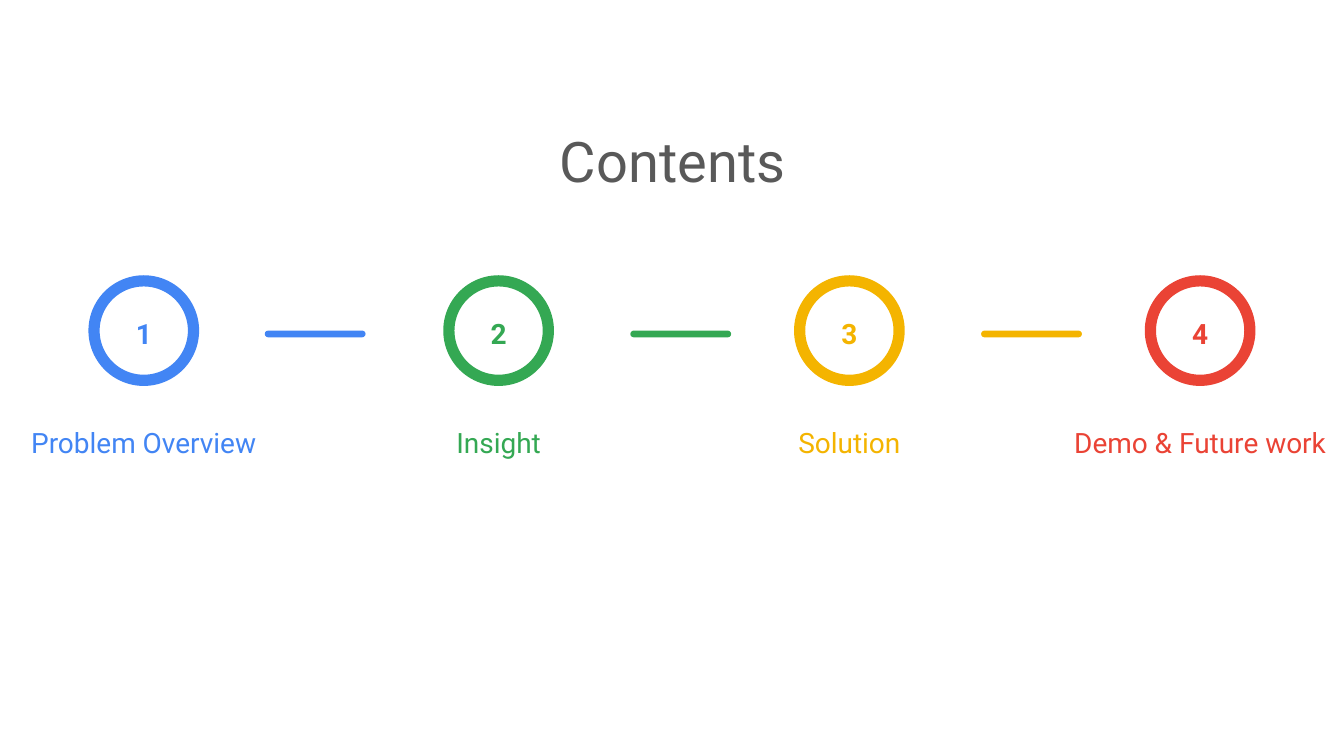
from pptx import Presentation
from pptx.dml.color import RGBColor
from pptx.enum import shapes, text
from pptx.util import Inches, Pt

GRAY = RGBColor(0x59, 0x59, 0x59)
BLUE = RGBColor(0x42, 0x85, 0xF4)
GREEN = RGBColor(0x34, 0xA8, 0x53)
YELLOW = RGBColor(0xF4, 0xB4, 0x00)
RED = RGBColor(0xEA, 0x43, 0x35)
FONT = "Roboto"
RING = 0.74
STEPS = [
    ("Problem Overview", BLUE, 1.07, 1.97),
    ("Insight", GREEN, 3.71, 4.69),
    ("Solution", YELLOW, 6.32, 7.3),
    ("Demo & Future work", RED, 8.93, None),
]


def write(box, words, size, color, inset, anchor, bold=False):
    frame = box.text_frame
    frame.word_wrap = True
    frame.auto_size = text.MSO_AUTO_SIZE.NONE
    frame.vertical_anchor = anchor
    frame.margin_left = frame.margin_right = Inches(inset)
    frame.margin_top = frame.margin_bottom = Inches(inset)
    para = frame.paragraphs[0]
    para.alignment = text.PP_ALIGN.CENTER
    run = para.add_run()
    run.text = words
    font = run.font
    font.name, font.size, font.bold = FONT, Pt(size), bold
    font.color.rgb = color
    return para


def add_title(slide, words):
    title = slide.shapes.title
    title.left, title.top = Inches(0.51), Inches(0.84)
    title.width, title.height = Inches(8.99), Inches(0.75)
    para = write(title, words, 30, GRAY, 0.1, text.MSO_ANCHOR.TOP)
    para.line_spacing = 1.0
    para.space_before = Pt(0)


def add_ring(slide, mid, color):
    ring = slide.shapes.add_shape(
        shapes.MSO_SHAPE.OVAL, Inches(mid - RING / 2), Inches(2.09),
        Inches(RING), Inches(RING))
    ring.shadow.inherit = False
    ring.fill.background()
    ring.line.color.rgb = color
    ring.line.width = Pt(6)


def add_bar(slide, left, color):
    bar = slide.shapes.add_shape(
        shapes.MSO_SHAPE.ROUNDED_RECTANGLE, Inches(left), Inches(2.46),
        Inches(0.75), Inches(0.05))
    bar.adjustments[0] = 0.5
    bar.shadow.inherit = False
    bar.fill.solid()
    bar.fill.fore_color.rgb = color
    bar.line.fill.background()


def add_label(slide, words, mid, top, width, height, color, anchor, bold=False):
    box = slide.shapes.add_textbox(
        Inches(mid - width / 2), Inches(top), Inches(width), Inches(height))
    para = write(box, words, 15, color, 0.11, anchor, bold)
    para.line_spacing = 1.15


def main():
    deck = Presentation()
    deck.slide_width = Inches(10)
    deck.slide_height = deck.slide_width * 9 // 16
    slide = deck.slides.add_slide(deck.slide_layouts[5])
    add_title(slide, "Contents")
    for num, (name, color, mid, bar) in enumerate(STEPS, 1):
        add_ring(slide, mid, color)
        add_label(slide, str(num), mid, 2.21, 0.55, 0.4, color,
                  text.MSO_ANCHOR.TOP, True)
        add_label(slide, name, mid, 2.97, 2.14, 0.56, color,
                  text.MSO_ANCHOR.BOTTOM)
        if bar is not None:
            add_bar(slide, bar, color)
    deck.save("out.pptx")


if __name__ == "__main__":
    main()
